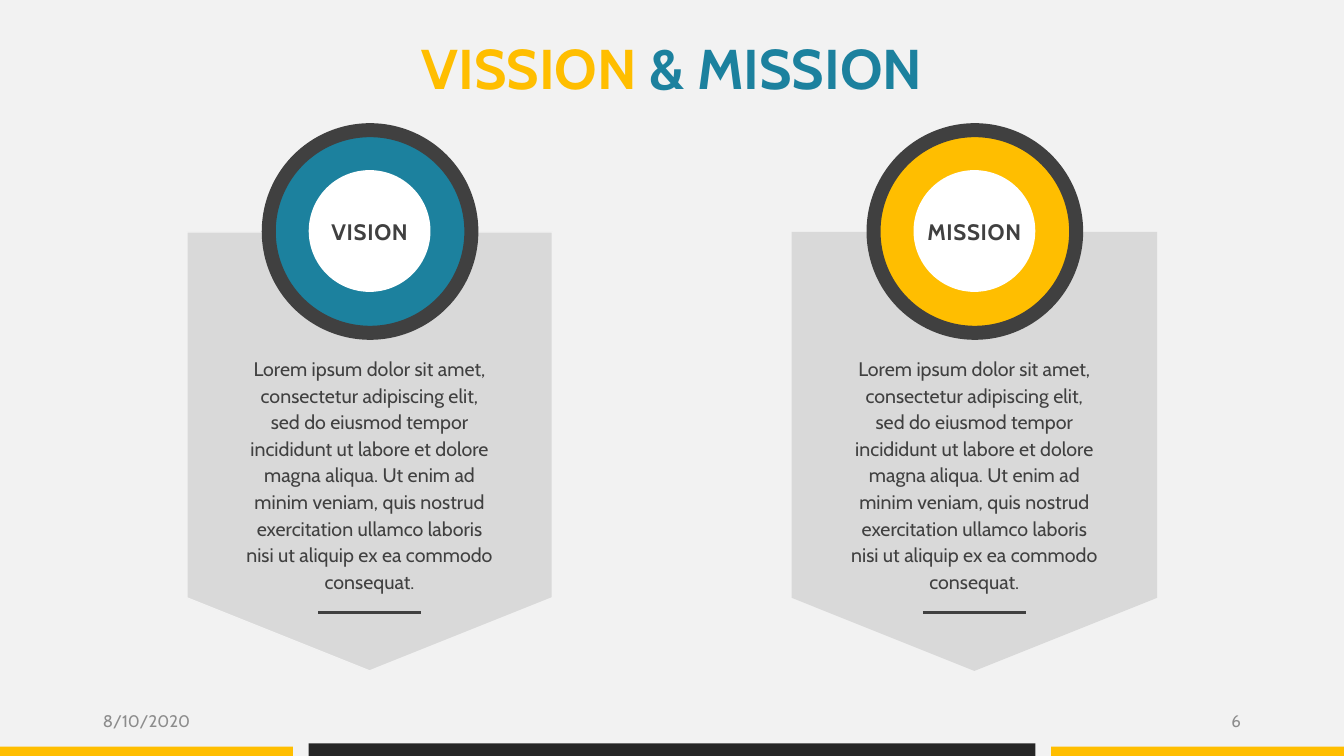
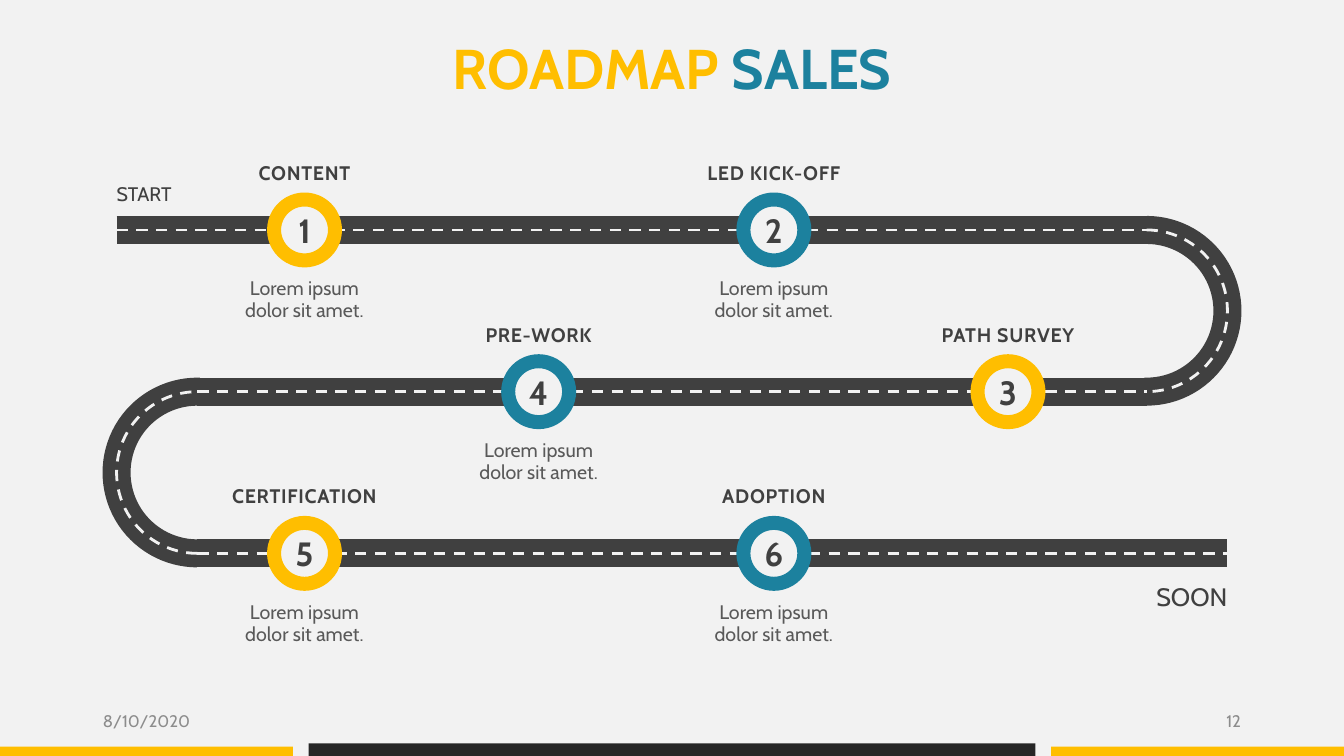
from typing import NamedTuple

from lxml.etree import SubElement
from pptx import Presentation
from pptx.dml.color import RGBColor
from pptx.enum.dml import MSO_LINE
from pptx.enum.shapes import MSO_CONNECTOR, MSO_SHAPE
from pptx.enum.text import MSO_ANCHOR, MSO_AUTO_SIZE, PP_ALIGN
from pptx.oxml.ns import qn
from pptx.presentation import Presentation as Deck
from pptx.shapes.autoshape import Shape
from pptx.slide import Slide
from pptx.util import Emu, Pt

EMU_PER_PX = 9525
SLIDE_WIDTH, SLIDE_HEIGHT = 1280, 720
TITLE_ONLY_LAYOUT = 5
FONT = "Cabin"
COLORS = {
    "background": "F2F2F2",
    "yellow": "FFBE00",
    "teal": "1C819E",
    "black": "262626",
    "dark": "404040",
    "caption": "595959",
    "footer": "8C8C8C",
    "panel": "D9D9D9",
    "white": "FFFFFF",
}
DATE = "8/10/2020"
LOREM = (
    "Lorem ipsum dolor sit amet, consectetur adipiscing elit, sed do eiusmod "
    "tempor incididunt ut labore et dolore magna aliqua. Ut enim ad minim "
    "veniam, quis nostrud exercitation ullamco laboris nisi ut aliquip ex ea "
    "commodo consequat."
)
SHORT_LOREM = "Lorem ipsum dolor sit amet."


class Box(NamedTuple):
    left: int
    top: int
    width: int
    height: int

    @classmethod
    def centered(cls, x: int, y: int, width: int, height: int) -> "Box":
        return cls(x - width // 2, y - height // 2, width, height)

    def emu(self) -> list[Emu]:
        return [px(length) for length in self]


class Band(NamedTuple):
    box: Box
    color: str


class Statement(NamedTuple):
    label: str
    center: int
    color: str
    outline: str | None


class Milestone(NamedTuple):
    number: int
    heading: str
    caption: str
    row: int
    column: int
    color: str


BANDS = [
    Band(Box(0, 711, 279, 9), "yellow"),
    Band(Box(294, 708, 692, 12), "black"),
    Band(Box(1001, 711, 279, 9), "yellow"),
]
STATEMENTS = [
    Statement("VISION", 352, "teal", "background"),
    Statement("MISSION", 928, "yellow", None),
]
MILESTONES = [
    Milestone(1, "CONTENT", SHORT_LOREM, 0, 0, "yellow"),
    Milestone(2, "LED KICK-OFF", SHORT_LOREM, 0, 2, "teal"),
    Milestone(3, "PATH SURVEY", "", 1, 3, "yellow"),
    Milestone(4, "PRE-WORK", SHORT_LOREM, 1, 1, "teal"),
    Milestone(5, "CERTIFICATION", SHORT_LOREM, 2, 0, "yellow"),
    Milestone(6, "ADOPTION", SHORT_LOREM, 2, 2, "teal"),
]

ROAD_LEFT, ROAD_RIGHT = 111, 1169
ROAD_TOP, ROW_STEP = 219, 154
BEND_RADIUS = ROW_STEP // 2


def px(length: int) -> Emu:
    return Emu(length * EMU_PER_PX)


def rgb(name: str) -> RGBColor:
    return RGBColor.from_string(COLORS[name])


def write_text(
    shape: Shape,
    text: str,
    *,
    size: int,
    color: str = "dark",
    bold: bool = False,
    align: PP_ALIGN = PP_ALIGN.CENTER,
    line_height: int | None = None,
    spacing: float = 0,
) -> None:
    """Append a formatted run to the first paragraph; spacing is in points."""
    paragraph = shape.text_frame.paragraphs[0]
    paragraph.alignment = align
    if line_height:
        paragraph.line_spacing = Pt(line_height)
    run = paragraph.add_run()
    run.text = text
    run.font.name = FONT
    run.font.size = Pt(size)
    run.font.bold = bold
    run.font.color.rgb = rgb(color)
    if spacing:
        run._r.get_or_add_rPr().set("spc", str(round(spacing * 100)))


def set_frame(
    shape: Shape,
    *,
    inset: int = 0,
    anchor: MSO_ANCHOR = MSO_ANCHOR.TOP,
    wrap: bool = True,
) -> None:
    frame = shape.text_frame
    frame.auto_size = MSO_AUTO_SIZE.NONE
    frame.word_wrap = wrap
    frame.vertical_anchor = anchor
    frame.margin_left = frame.margin_right = px(inset)
    frame.margin_top = frame.margin_bottom = 0


def add_text_box(
    slide: Slide,
    box: Box,
    *,
    inset: int = 0,
    anchor: MSO_ANCHOR = MSO_ANCHOR.TOP,
) -> Shape:
    shape = slide.shapes.add_textbox(*box.emu())
    set_frame(shape, inset=inset, anchor=anchor)
    return shape


def add_figure(
    slide: Slide,
    kind: MSO_SHAPE,
    box: Box,
    *,
    fill: str | None = None,
    line: str | None = None,
    line_width: int = 1,
) -> Shape:
    shape = slide.shapes.add_shape(kind, *box.emu())
    shape.shadow.inherit = False
    if fill:
        shape.fill.solid()
        shape.fill.fore_color.rgb = rgb(fill)
    else:
        shape.fill.background()
    if line:
        shape.line.color.rgb = rgb(line)
        shape.line.width = Pt(line_width)
    else:
        shape.line.fill.background()
    return shape


def add_horizontal_line(
    slide: Slide,
    start: int,
    end: int,
    y: int,
    *,
    color: str,
    width: float,
    dash: MSO_LINE | None = None,
) -> None:
    line = slide.shapes.add_connector(
        MSO_CONNECTOR.STRAIGHT, px(start), px(y), px(end), px(y)
    )
    line.line.color.rgb = rgb(color)
    line.line.width = Pt(width)
    line.line.dash_style = dash
    SubElement(line._element.spPr, qn("a:effectLst"))


def add_base_slide(
    presentation: Deck, first_words: str, last_words: str, number: int
) -> Slide:
    """Add a slide with its two-colour title, bottom bands and footer."""
    slide = presentation.slides.add_slide(
        presentation.slide_layouts[TITLE_ONLY_LAYOUT]
    )
    title = slide.shapes.title
    title.left, title.top, title.width, title.height = Box(75, 32, 1130, 64).emu()
    set_frame(title)
    write_text(title, first_words, size=40, color="yellow", bold=True)
    write_text(title, last_words, size=40, color="teal", bold=True)
    for band in BANDS:
        add_figure(slide, MSO_SHAPE.RECTANGLE, band.box, fill=band.color)
    for left, text, align in (
        (88, DATE, PP_ALIGN.LEFT),
        (904, str(number), PP_ALIGN.RIGHT),
    ):
        footer = add_text_box(
            slide, Box(left, 667, 288, 38), inset=10, anchor=MSO_ANCHOR.MIDDLE
        )
        write_text(footer, text, size=12, color="footer", align=align)
    return slide


def add_statement(slide: Slide, statement: Statement) -> None:
    x, ring_y = statement.center, 220
    panel = add_figure(
        slide,
        MSO_SHAPE.PENTAGON,
        Box.centered(x, 430, 418, 348),
        fill="panel",
        line=statement.outline,
    )
    panel.rotation = 90
    panel.adjustments[0] = 0.2
    add_figure(
        slide,
        MSO_SHAPE.OVAL,
        Box.centered(x, ring_y, 193, 193),
        fill=statement.color,
        line="dark",
        line_width=10,
    )
    badge = add_figure(
        slide, MSO_SHAPE.OVAL, Box.centered(x, ring_y, 116, 116), fill="white"
    )
    set_frame(badge, anchor=MSO_ANCHOR.MIDDLE, wrap=False)
    write_text(
        badge, statement.label, size=16, bold=True, line_height=20, spacing=0.5
    )
    body = add_text_box(slide, Box(x - 119, 337, 238, 228))
    write_text(body, LOREM, size=14, line_height=19)
    add_horizontal_line(slide, x - 49, x + 49, 583, color="dark", width=2)


def add_road(
    slide: Slide, color: str, width: int, dash: MSO_LINE | None = None
) -> None:
    """Draw three straight stretches joined by a bend on each side."""
    bend_left, bend_right = ROAD_LEFT + BEND_RADIUS, ROAD_RIGHT - BEND_RADIUS
    stretches = [
        (ROAD_LEFT, bend_right),
        (bend_left, bend_right),
        (bend_left, ROAD_RIGHT),
    ]
    for row, (start, end) in enumerate(stretches):
        add_horizontal_line(
            slide, start, end, ROAD_TOP + row * ROW_STEP,
            color=color, width=width, dash=dash,
        )
    for row, (x, rotation) in enumerate([(bend_right, 0), (bend_left, 180)]):
        y = ROAD_TOP + row * ROW_STEP + BEND_RADIUS
        bend = add_figure(
            slide, MSO_SHAPE.ARC, Box.centered(x, y, ROW_STEP, ROW_STEP),
            line=color, line_width=width,
        )
        bend.rotation = rotation
        bend.adjustments[0], bend.adjustments[1] = 162, 55
        bend.line.dash_style = dash


def add_milestone(slide: Slide, milestone: Milestone) -> None:
    x = 290 + milestone.column * 447 // 2
    y = ROAD_TOP + milestone.row * ROW_STEP
    marker = add_figure(
        slide, MSO_SHAPE.OVAL, Box.centered(x, y, 58, 58),
        fill="background", line=milestone.color, line_width=10,
    )
    set_frame(marker, anchor=MSO_ANCHOR.MIDDLE, wrap=False)
    write_text(marker, str(milestone.number), size=24, bold=True, spacing=0.5)
    heading = add_text_box(slide, Box(x - 77, y - 70, 154, 27))
    write_text(
        heading, milestone.heading, size=14, bold=True, line_height=20, spacing=0.5
    )
    if milestone.caption:
        caption = add_text_box(slide, Box(x - 69, y + 45, 138, 43))
        write_text(
            caption, milestone.caption, size=14, color="caption", line_height=16
        )


def main() -> None:
    presentation = Presentation()
    presentation.slide_width = px(SLIDE_WIDTH)
    presentation.slide_height = px(SLIDE_HEIGHT)
    background = presentation.slide_master.background.fill
    background.solid()
    background.fore_color.rgb = rgb("background")

    vision_slide = add_base_slide(presentation, "VISSION ", "& MISSION", 6)
    for statement in STATEMENTS:
        add_statement(vision_slide, statement)

    roadmap_slide = add_base_slide(presentation, "ROADMAP ", "SALES", 12)
    add_road(roadmap_slide, "dark", 20)
    add_road(roadmap_slide, "background", 2, MSO_LINE.DASH)
    for milestone in MILESTONES:
        add_milestone(roadmap_slide, milestone)
    start = add_text_box(roadmap_slide, Box(ROAD_LEFT, 169, 95, 24))
    write_text(start, "START", size=14, align=PP_ALIGN.LEFT, line_height=20)
    finish = add_text_box(roadmap_slide, Box(ROAD_RIGHT - 95, 556, 95, 27))
    write_text(finish, "SOON", size=18, align=PP_ALIGN.RIGHT, line_height=20)

    presentation.save("out.pptx")


if __name__ == "__main__":
    main()
